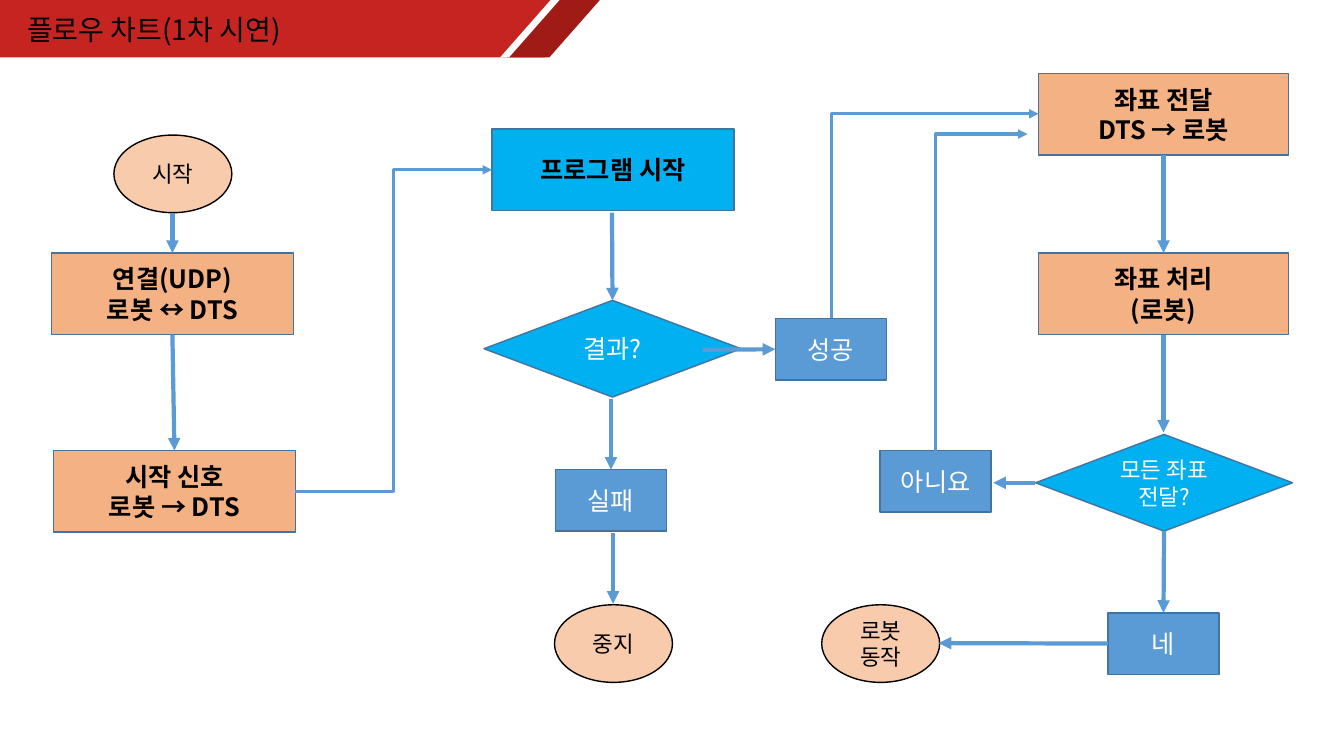
from lxml.etree import SubElement
from pptx import Presentation
from pptx.dml.color import RGBColor
from pptx.enum.shapes import MSO_CONNECTOR as LINK, MSO_SHAPE as SHAPE
from pptx.enum.text import MSO_ANCHOR as ANCHOR, PP_ALIGN as ALIGN
from pptx.oxml.ns import qn
from pptx.util import Inches, Pt

FONT = "Noto Sans CJK KR"
COLORS = {
    "red": "C62421", "dark red": "A01B16", "white": "FFFFFF", "black": "000000",
    "peach": "F8CBAD", "orange": "F4B183", "cyan": "00B0F0", "blue": "5B9BD5",
    "border": "43739E",
}
TITLE = "플로우 차트(1차 시연)"
TITLE_BOX = (0.17, 0.07, 6.2, 0.44)

BANNER = [
    (SHAPE.RECTANGLE, "red", (5.21, 0, 0.42, 0.28)),
    (SHAPE.RECTANGLE, "red", (0, 0, 5.41, 0.57)),
    (SHAPE.PARALLELOGRAM, "dark red", (5.03, 0, 0.92, 0.57)),
    (SHAPE.PARALLELOGRAM, "white", (4.96, 0, 0.59, 0.57)),
]
BANNER_SLANT = 0.88

KINDS = {
    "terminal": dict(preset=SHAPE.OVAL, size=(1.17, 0.77), fill="peach",
                     border="black", text=dict(size=16)),
    "step": dict(preset=SHAPE.RECTANGLE, size=(2.4, 0.81), fill="orange",
                 border="border", text=dict(size=18, bold=True)),
    "decision": dict(preset=SHAPE.FLOWCHART_DECISION, size=(2.55, 0.96), fill="cyan",
                     border="border", text=dict(size=18, color="white")),
    "answer": dict(preset=SHAPE.RECTANGLE, size=(1.1, 0.61), fill="blue",
                   border="border", text=dict(size=18, color="white")),
}
KINDS["program"] = KINDS["step"] | dict(fill="cyan")
KINDS["coordinates"] = KINDS["step"] | dict(size=(2.48, 0.81))
KINDS["small decision"] = KINDS["decision"] | dict(text=dict(size=16, color="white"))

NODES = {
    "start": ("terminal", 1.13, 1.34, "시작"),
    "connect": ("step", 0.51, 2.51, "연결(UDP)\v로봇 ↔ DTS"),
    "signal": ("step", 0.53, 4.47, "시작 신호\n로봇 → DTS"),
    "program": ("program", 4.88, 1.28, "프로그램 시작"),
    "result": ("decision", 4.8, 2.98, "결과?"),
    "success": ("answer", 7.69, 3.16, "성공"),
    "failure": ("answer", 5.51, 4.66, "실패"),
    "stop": ("terminal", 5.5, 6, "중지"),
    "send": ("coordinates", 10.3, 0.73, "좌표 전달\nDTS → 로봇"),
    "process": ("coordinates", 10.3, 2.51, "좌표 처리\n(로봇)"),
    "all sent": ("small decision", 10.27, 4.31, "모든 좌표 전달?"),
    "no": ("answer", 8.73, 4.47, "아니요"),
    "yes": ("answer", 10.99, 6.08, "네"),
    "move": ("terminal", 8.15, 6, "로봇\v동작"),
}

TOP, LEFT, BOTTOM, RIGHT = range(4)
ARROWS = [
    ((1.71, 2.11), ("connect", TOP)),
    (("connect", BOTTOM), ("signal", TOP)),
    ((6.07, 2.11), ("result", TOP)),
    ((6.97, 3.47), ("success", LEFT)),
    ((6.06, 3.96), ("failure", TOP)),
    ((6.08, 5.29), (6.08, 5.99)),
    (("send", BOTTOM), ("process", TOP)),
    (("process", BOTTOM), (11.54, 4.29)),
    (("all sent", LEFT), (9.85, 4.79)),
    (("all sent", BOTTOM), ("yes", TOP)),
    (("yes", LEFT), (9.31, 6.38)),
]
STEPPED_ARROW = (("signal", RIGHT), ("program", LEFT))
RISING_ARROWS = [((8.25, 3.16), (10.3, 1.13)), ((9.28, 4.47), (10.19, 1.33))]


def rgb(name):
    return RGBColor.from_string(COLORS[name])


def write(frame, text, size=18, color="black", bold=False, align=ALIGN.CENTER,
          anchor=ANCHOR.MIDDLE):
    frame.word_wrap = True
    frame.vertical_anchor = anchor
    frame.text = text
    for paragraph in frame.paragraphs:
        paragraph.alignment = align
        for run in paragraph.runs:
            run.font.name = FONT
            run.font.size = Pt(size)
            run.font.bold = bold
            run.font.color.rgb = rgb(color)
            SubElement(run._r.get_or_add_rPr(), qn("a:ea"), typeface=FONT)


def draw(preset, box, fill, border=None):
    shape = slide.shapes.add_shape(preset, *map(Inches, box))
    shape.shadow.inherit = False
    shape.fill.solid()
    shape.fill.fore_color.rgb = rgb(fill)
    if border:
        shape.line.color.rgb = rgb(border)
        shape.line.width = Pt(1)
    else:
        shape.line.fill.background()
    return shape


def link(begin, end, route=LINK.STRAIGHT, width=3):
    joined = [isinstance(place[0], str) for place in (begin, end)]
    points = [(0, 0) if fixed else place for fixed, place in zip(joined, (begin, end))]
    arrow = slide.shapes.add_connector(route, *map(Inches, points[0] + points[1]))
    if joined[0]:
        arrow.begin_connect(nodes[begin[0]], begin[1])
    if joined[1]:
        arrow.end_connect(nodes[end[0]], end[1])
    arrow.line.color.rgb = rgb("blue")
    arrow.line.width = Pt(width)
    SubElement(arrow.line._get_or_add_ln(), qn("a:tailEnd"), type="triangle")
    SubElement(arrow._element.spPr, qn("a:effectLst"))
    return arrow


def link_rising(begin, end):
    center_x, center_y = (begin[0] + end[0]) / 2, (begin[1] + end[1]) / 2
    half_rise, half_run = (begin[1] - end[1]) / 2, (end[0] - begin[0]) / 2
    arrow = link((center_x + half_rise, center_y + half_run),
                 (center_x - half_rise, center_y - half_run), LINK.ELBOW, 2.25)
    arrow._element.spPr.find(qn("a:prstGeom")).set("prst", "bentConnector2")
    arrow.rotation = 90


deck = Presentation()
deck.slide_width, deck.slide_height = Inches(13.33), Inches(7.5)
slide = deck.slides.add_slide(deck.slide_layouts[6])

for preset, fill, box in BANNER:
    band = draw(preset, box, fill)
    if preset == SHAPE.PARALLELOGRAM:
        band.adjustments[0] = BANNER_SLANT
title = slide.shapes.add_textbox(*map(Inches, TITLE_BOX))
write(title.text_frame, TITLE, size=20, align=ALIGN.LEFT, anchor=ANCHOR.TOP)

nodes = {}
for name, (kind, left, top, text) in NODES.items():
    style = KINDS[kind]
    nodes[name] = draw(style["preset"], (left, top, *style["size"]),
                       style["fill"], style["border"])
    write(nodes[name].text_frame, text, **style["text"])

for begin, end in ARROWS:
    link(begin, end)
link(*STEPPED_ARROW, route=LINK.ELBOW, width=2.25)
for begin, end in RISING_ARROWS:
    link_rising(begin, end)

deck.save("out.pptx")
